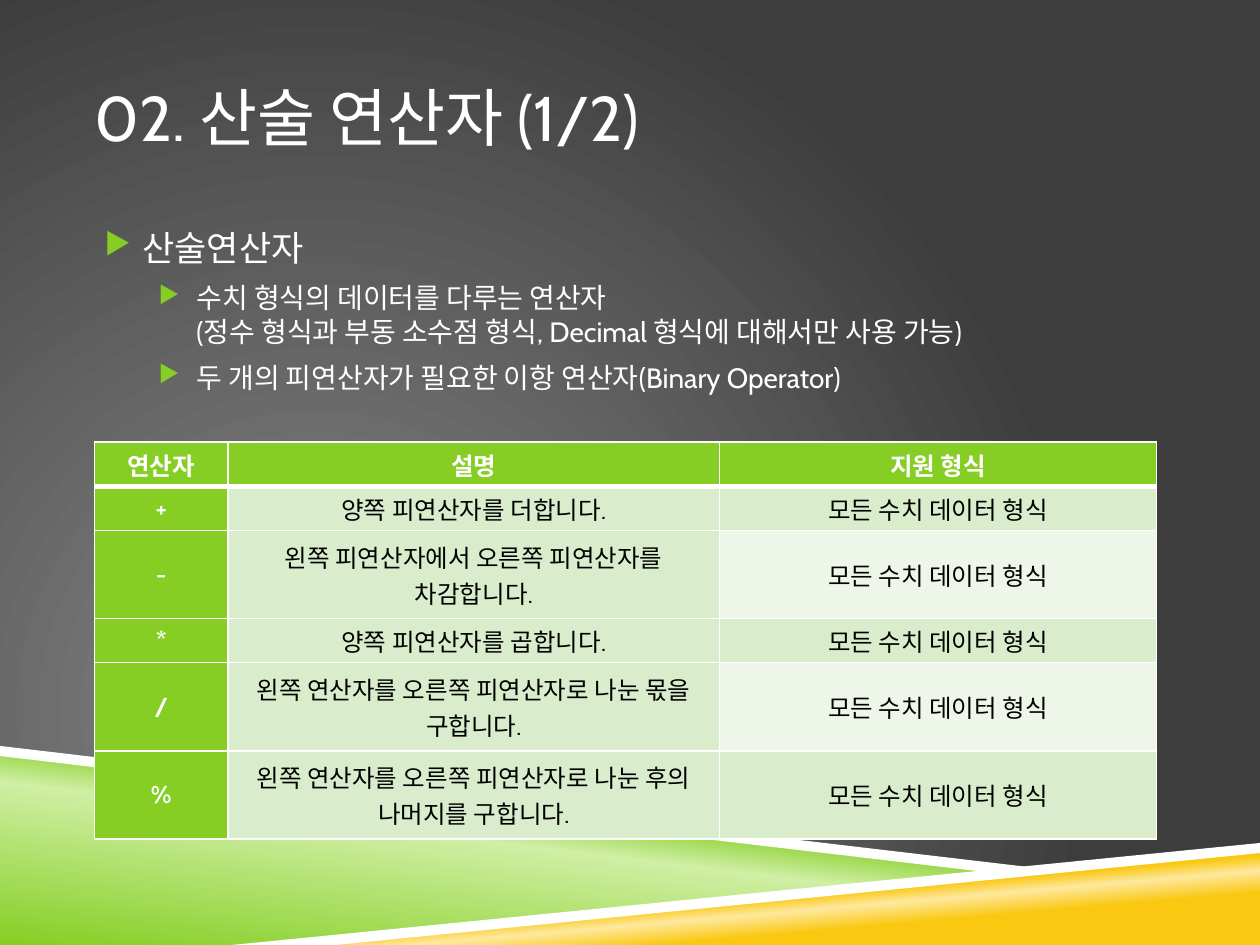
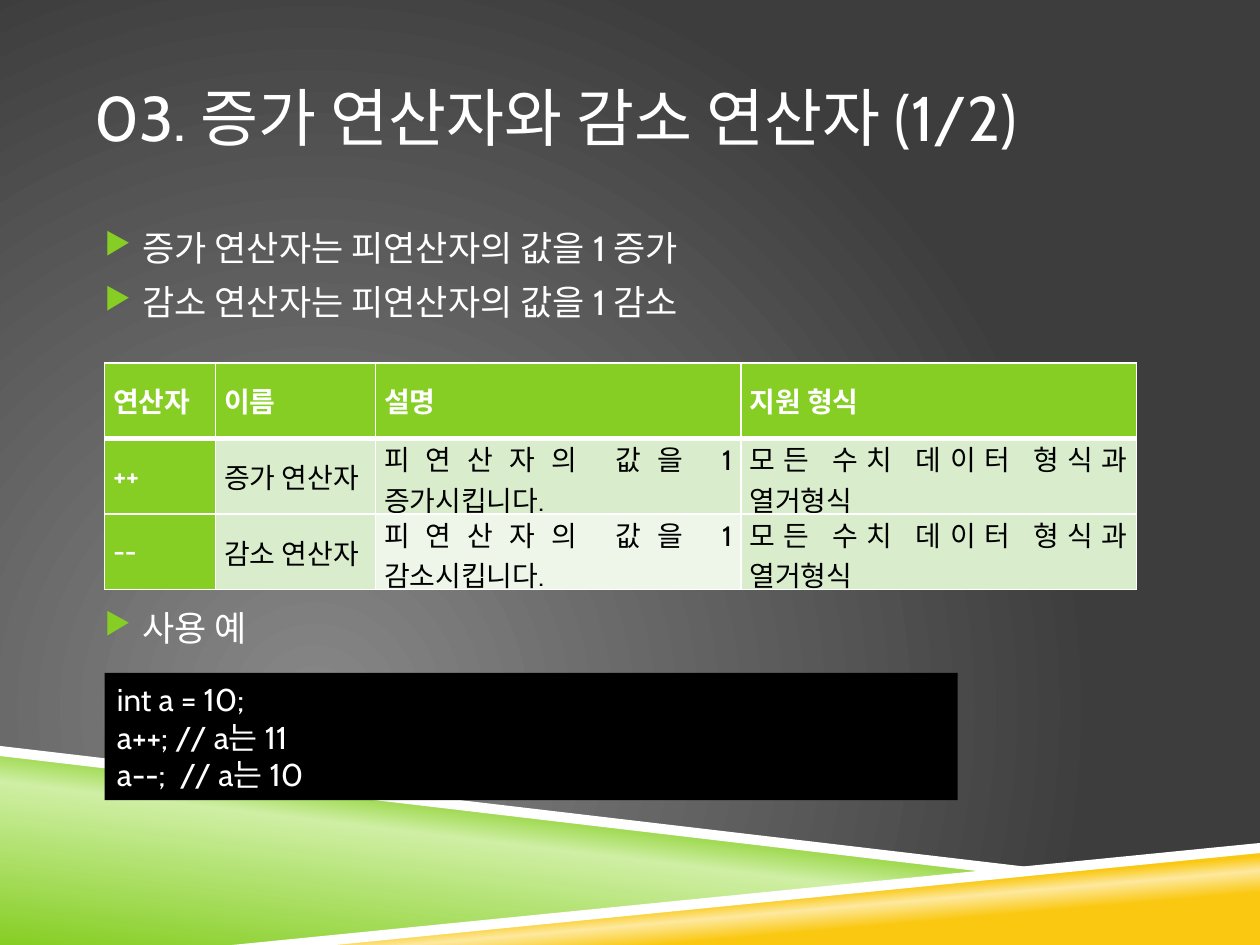
from lxml import etree
from pptx import Presentation
from pptx.dml.color import RGBColor
from pptx.enum.shapes import MSO_SHAPE
from pptx.enum.text import MSO_ANCHOR, PP_ALIGN
from pptx.oxml.ns import qn
from pptx.util import Inches, Pt

RECT = MSO_SHAPE.RECTANGLE
MIDDLE, TOP = MSO_ANCHOR.MIDDLE, MSO_ANCHOR.TOP
LEFT, CENTER, JUSTIFY = PP_ALIGN.LEFT, PP_ALIGN.CENTER, PP_ALIGN.JUSTIFY

WHITE = RGBColor(0xFF, 0xFF, 0xFF)
BLACK = RGBColor(0x00, 0x00, 0x00)
GRAY = RGBColor(0x87, 0x87, 0x87)
DARK = RGBColor(0x3D, 0x3D, 0x3D)
GREEN = RGBColor(0x86, 0xCE, 0x24)
LIME = RGBColor(0xCF, 0xEF, 0xA4)
GOLD = RGBColor(0xFA, 0xC8, 0x10)
CREAM = RGBColor(0xFD, 0xE9, 0x9F)
PALE = RGBColor(0xD9, 0xED, 0xCD)
FAINT = RGBColor(0xED, 0xF6, 0xE8)

FONT = "Cabin"
SIZES = (20, 16)  # body text by level
MARGINS = (0.38, 0.81)  # body indent by level
GAP = 7

GREEN_BAND = [(0, 5.97), (7.92, 6.92), (2, 7.5), (0, 7.5)]
GOLD_BAND = [(1.98, 7.5), (10, 6.72), (10, 7.5)]
GREEN_EDGE = [(0, 5.92), (0, 6), (7.9, 6.93), (8.32, 6.9)]
GOLD_EDGE = [(10, 6.69), (1.84, 7.5), (2.66, 7.5), (10, 6.77)]


def add(parent, tag, **attrs):
    node = etree.SubElement(parent, qn(tag))
    for key, value in attrs.items():
        node.set(key, str(value))
    return node


def shade(element, stops):
    """Give the gradient fill inside element new stops; return it for its direction."""
    grad = next(element.iter(qn("a:gradFill")))
    grad.clear()
    items = add(grad, "a:gsLst")
    for place, color in stops:
        add(add(items, "a:gs", pos=place * 1000), "a:srgbClr", val=color)
    return grad


class Deck:
    def __init__(self):
        self.prs = Presentation()
        self.prs.slide_width = Inches(10)
        self.prs.slide_height = Inches(7.5)
        self.slide = None

    def page(self, title):
        """Start a slide with its backdrop, bands and title."""
        self.slide = self.prs.slides.add_slide(self.prs.slide_layouts[6])
        self.slide.background.fill.gradient()
        grad = shade(self.slide.element, [(0, GRAY), (100, DARK)])
        add(add(grad, "a:path", path="circle"), "a:fillToRect",
            l=50000, t=100000, r=100000, b=50000)
        self.band(GREEN_BAND, [(0, GREEN), (52, LIME), (66, GREEN)], 277)
        self.band(GOLD_BAND, [(28, GOLD), (40, CREAM), (48, GOLD)], 265)
        for edge in (GREEN_EDGE, GOLD_EDGE):
            self.plain(self.outline(edge), WHITE)
        frame = self.box(0.75, 0.3, 8.5, 1.25, MIDDLE)
        frame.text = title
        self.style(frame.paragraphs[0], 36, WHITE)

    def outline(self, points):
        (x, y), *rest = [(Inches(a), Inches(b)) for a, b in points]
        form = self.slide.shapes.build_freeform(x, y)
        form.add_line_segments(rest, close=True)
        return form.convert_to_shape()

    def plain(self, shape, color):
        shape.shadow.inherit = False
        shape.line.fill.background()
        shape.fill.solid()
        shape.fill.fore_color.rgb = color

    def band(self, points, stops, angle):
        shape = self.outline(points)
        self.plain(shape, WHITE)
        shape.fill.gradient()
        add(shade(shape.element, stops), "a:lin", ang=angle * 60000, scaled=0)

    def box(self, x, y, w, h, anchor):
        shape = self.slide.shapes.add_textbox(Inches(x), Inches(y), Inches(w), Inches(h))
        frame = shape.text_frame
        frame.word_wrap = True
        frame.vertical_anchor = anchor
        frame.margin_left = frame.margin_right = 0
        return frame

    def style(self, par, size, color, bold=False, align=LEFT):
        par.alignment = align
        for run in par.runs:
            font = run.font
            font.name, font.size, font.bold = FONT, Pt(size), bold
            font.color.rgb = color
        for stop in par._p.findall(qn("a:br")):
            add(stop, "a:rPr", sz=size * 100)

    def body(self, items):
        """Write bullets from (level, space before, text) items."""
        frame = self.box(0.75, 1.75, 8.5, 4.08, TOP)
        frame.text = "\n".join(text for _, _, text in items)
        for par, (level, space, _) in zip(frame.paragraphs, items):
            par.level = level
            par.space_before = Pt(space)
            props = par._p.get_or_add_pPr()
            props.set("marL", str(Inches(MARGINS[level])))
            props.set("indent", str(Inches(-0.3)))
            add(add(props, "a:buClr"), "a:srgbClr", val=GREEN)
            add(props, "a:buSzPct", val=85000)
            add(props, "a:buChar", char="▶")
            self.style(par, SIZES[level], WHITE)

    def table(self, x, y, cols, heights, rows, size, align):
        frame = self.slide.shapes.add_table(
            len(rows), len(cols), Inches(x), Inches(y),
            Inches(sum(cols)), Inches(sum(heights)))
        table = frame.table
        table.horz_banding = False
        for col, width in zip(table.columns, cols):
            col.width = Inches(width)
        for row, height in zip(table.rows, heights):
            row.height = Inches(height)
        for r, texts in enumerate(rows):
            for c, text in enumerate(texts):
                self.cell(table.cell(r, c), r, c, text, size, align)

    def cell(self, cell, r, c, text, size, align):
        head = r == 0 or c == 0
        cell.text = text
        cell.vertical_anchor = MIDDLE
        cell.margin_left = cell.margin_right = Inches(0.07)
        cell.margin_top = cell.margin_bottom = 0
        par = cell.text_frame.paragraphs[0]
        self.style(par, size, WHITE if head else BLACK, head, align)
        props = cell._tc.get_or_add_tcPr()
        for edge in ("L", "R", "T", "B"):
            thick = (r, edge) in ((0, "B"), (1, "T"))
            line = add(props, f"a:ln{edge}", w=Pt(3 if thick else 1))
            add(add(line, "a:solidFill"), "a:srgbClr", val=WHITE)
        cell.fill.solid()
        soft = FAINT if c == 2 and r % 2 == 0 else PALE
        cell.fill.fore_color.rgb = GREEN if head else soft

    def code(self, x, y, w, h, lines):
        shape = self.slide.shapes.add_shape(RECT, Inches(x), Inches(y), Inches(w), Inches(h))
        self.plain(shape, BLACK)
        shape.text_frame.text = "\n".join(lines)
        for par in shape.text_frame.paragraphs:
            self.style(par, 18, WHITE)


def main():
    deck = Deck()

    deck.page("02. 산술 연산자 (1/2)")
    deck.body([
        (0, 0, "산술연산자"),
        (1, GAP, "수치 형식의 데이터를 다루는 연산자\v"
                 "(정수 형식과 부동 소수점 형식, Decimal 형식에 대해서만 사용 가능)"),
        (1, GAP, "두 개의 피연산자가 필요한 이항 연산자(Binary Operator)"),
    ])
    sums = [
        ("+", "양쪽 피연산자를 더합니다."),
        ("-", "왼쪽 피연산자에서 오른쪽 피연산자를 차감합니다."),
        ("*", "양쪽 피연산자를 곱합니다."),
        ("/", "왼쪽 연산자를 오른쪽 피연산자로 나눈 몫을 구합니다."),
        ("%", "왼쪽 연산자를 오른쪽 피연산자로 나눈 후의 나머지를 구합니다."),
    ]
    rows = [("연산자", "설명", "지원 형식")]
    rows += [(sign, text, "모든 수치 데이터 형식") for sign, text in sums]
    deck.table(0.75, 3.51, (1.06, 3.9, 3.47), (0.35, 0.35, 0.7, 0.35, 0.7, 0.7),
               rows, 14, CENTER)

    deck.page("03. 증가 연산자와 감소 연산자 (1/2)")
    deck.body([
        (0, 0, "증가 연산자는 피연산자의 값을 1 증가"),
        (0, GAP, "감소 연산자는 피연산자의 값을 1 감소"),
        (0, 162, "사용 예"),
    ])
    rows = [("연산자", "이름", "설명", "지원 형식")]
    rows += [(sign, f"{name} 연산자", f"피연산자의 값을 1 {name}시킵니다.",
              "모든 수치 데이터 형식과 열거형식")
             for sign, name in (("++", "증가"), ("--", "감소"))]
    deck.table(0.83, 2.88, (0.88, 1.27, 2.9, 3.14), (0.6,) * 3, rows, 16, JUSTIFY)
    deck.code(0.83, 5.34, 6.77, 1.01,
              ["int a = 10;", "a++; // a는 11", "a--;  // a는 10"])

    deck.prs.save("out.pptx")


if __name__ == "__main__":
    main()
